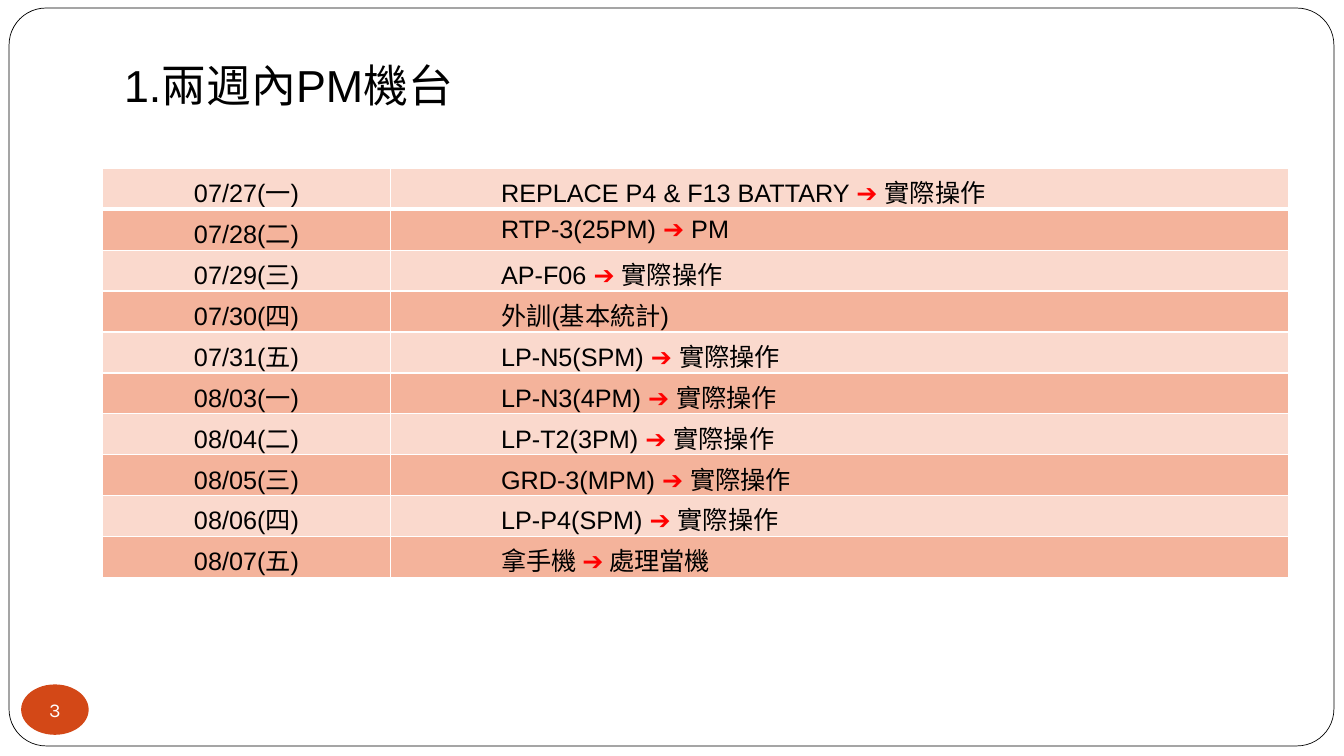
from lxml.etree import SubElement
from pptx import Presentation
from pptx.dml.color import RGBColor
from pptx.enum.shapes import MSO_SHAPE
from pptx.enum.text import MSO_ANCHOR, MSO_AUTO_SIZE, PP_ALIGN
from pptx.oxml.ns import qn
from pptx.util import Pt

PX = 9144
BLACK, WHITE, RED, ORANGE = "000000", "FFFFFF", "FF0000", "D34817"
BANDS = ["FAD9CD", "F4B39B"]
ARROW = "➔"
SCHEDULE = [
    ("07/27(一)", "REPLACE P4 & F13 BATTARY ➔ 實際操作"),
    ("07/28(二)", "RTP-3(25PM) ➔ PM"),
    ("07/29(三)", "AP-F06 ➔ 實際操作"),
    ("07/30(四)", "外訓(基本統計)"),
    ("07/31(五)", "LP-N5(SPM) ➔ 實際操作"),
    ("08/03(一)", "LP-N3(4PM) ➔ 實際操作"),
    ("08/04(二)", "LP-T2(3PM) ➔ 實際操作"),
    ("08/05(三)", "GRD-3(MPM) ➔ 實際操作"),
    ("08/06(四)", "LP-P4(SPM) ➔ 實際操作"),
    ("08/07(五)", "拿手機 ➔ 處理當機"),
]


def color(code):
    """Turn a hex string into a colour."""
    return RGBColor.from_string(code)


def scaled(box):
    """Turn a box in px into EMU."""
    return [length * PX for length in box]


def add_text(paragraph, text, size, code=BLACK, face="Arial"):
    """Add one formatted run."""
    run = paragraph.add_run()
    run.text = text
    run.font.size = Pt(size)
    run.font.name = face
    run.font.bold = False
    run.font.color.rgb = color(code)


def add_frame(slide, box):
    """Draw the rounded page frame behind the title."""
    frame = slide.shapes.add_shape(MSO_SHAPE.ROUNDED_RECTANGLE, *scaled(box))
    frame.adjustments[0] = 0.05
    frame.shadow.inherit = False
    frame.fill.solid()
    frame.fill.fore_color.rgb = color(WHITE)
    frame.line.color.rgb = color(BLACK)
    frame.line.width = Pt(0.5)
    slide.shapes.title._element.addprevious(frame._element)


def add_page_number(slide, box, number):
    """Draw the page number in its oval."""
    badge = slide.shapes.add_shape(MSO_SHAPE.OVAL, *scaled(box))
    badge.shadow.inherit = False
    badge.fill.solid()
    badge.fill.fore_color.rgb = color(ORANGE)
    badge.line.fill.background()
    frame = badge.text_frame
    frame.margin_left = frame.margin_right = frame.margin_top = frame.margin_bottom = 0
    frame.vertical_anchor = MSO_ANCHOR.MIDDLE
    frame.paragraphs[0].alignment = PP_ALIGN.CENTER
    add_text(frame.paragraphs[0], number, 14, WHITE, "Karla")


def set_title(slide, box, heading):
    """Place and fill the title."""
    title = slide.shapes.title
    title.left, title.top, title.width, title.height = scaled(box)
    frame = title.text_frame
    frame.word_wrap = True
    frame.auto_size = MSO_AUTO_SIZE.SHAPE_TO_FIT_TEXT
    frame.vertical_anchor = MSO_ANCHOR.TOP
    frame.paragraphs[0].alignment = PP_ALIGN.LEFT
    add_text(frame.paragraphs[0], heading, 32)


def style_cell(cell, band, bottom_width):
    """Give a cell white borders and a band fill."""
    properties = cell._tc.get_or_add_tcPr()
    for side, width in zip("LRTB", (1, 1, 1, bottom_width)):
        border = SubElement(properties, qn(f"a:ln{side}"), w=str(Pt(width)))
        SubElement(SubElement(border, qn("a:solidFill")), qn("a:srgbClr"), val=WHITE)
    cell.fill.solid()
    cell.fill.fore_color.rgb = color(band)
    cell.vertical_anchor = MSO_ANCHOR.MIDDLE


def add_schedule(slide, box, date_width):
    """Build the table of dates and tasks."""
    table = slide.shapes.add_table(len(SCHEDULE), 2, *scaled(box)).table
    table.first_row = table.horz_banding = False
    table.columns[0].width = date_width * PX
    table.columns[1].width = (box[2] - date_width) * PX
    for row, (date, task) in enumerate(SCHEDULE):
        date_cell, task_cell = table.cell(row, 0), table.cell(row, 1)
        for cell in (date_cell, task_cell):
            style_cell(cell, BANDS[row % 2], 1 if row else 3)
        date_line = date_cell.text_frame.paragraphs[0]
        date_line.alignment = PP_ALIGN.CENTER
        add_text(date_line, date, 18)
        task_line = task_cell.text_frame.paragraphs[0]
        task_line.level = 2
        indent = task_line._p.get_or_add_pPr()
        indent.set("marL", str(100 * PX))
        indent.set("indent", "0")
        machine, arrow, action = task.partition(ARROW)
        add_text(task_line, machine, 18)
        if arrow:
            add_text(task_line, arrow, 18, RED)
            add_text(task_line, action, 18)


def main():
    """Build and save the slide."""
    deck = Presentation()
    deck.slide_width, deck.slide_height = scaled((1333, 750))
    slide = deck.slides.add_slide(deck.slide_layouts[5])
    add_frame(slide, (9, 8, 1314, 732))
    add_page_number(slide, (21, 679, 67, 50), "3")
    set_title(slide, (113, 52, 351, 64), "1.兩週內PM機台")
    add_schedule(slide, (102, 167, 1176, 406), 285)
    deck.save("out.pptx")


if __name__ == "__main__":
    main()
